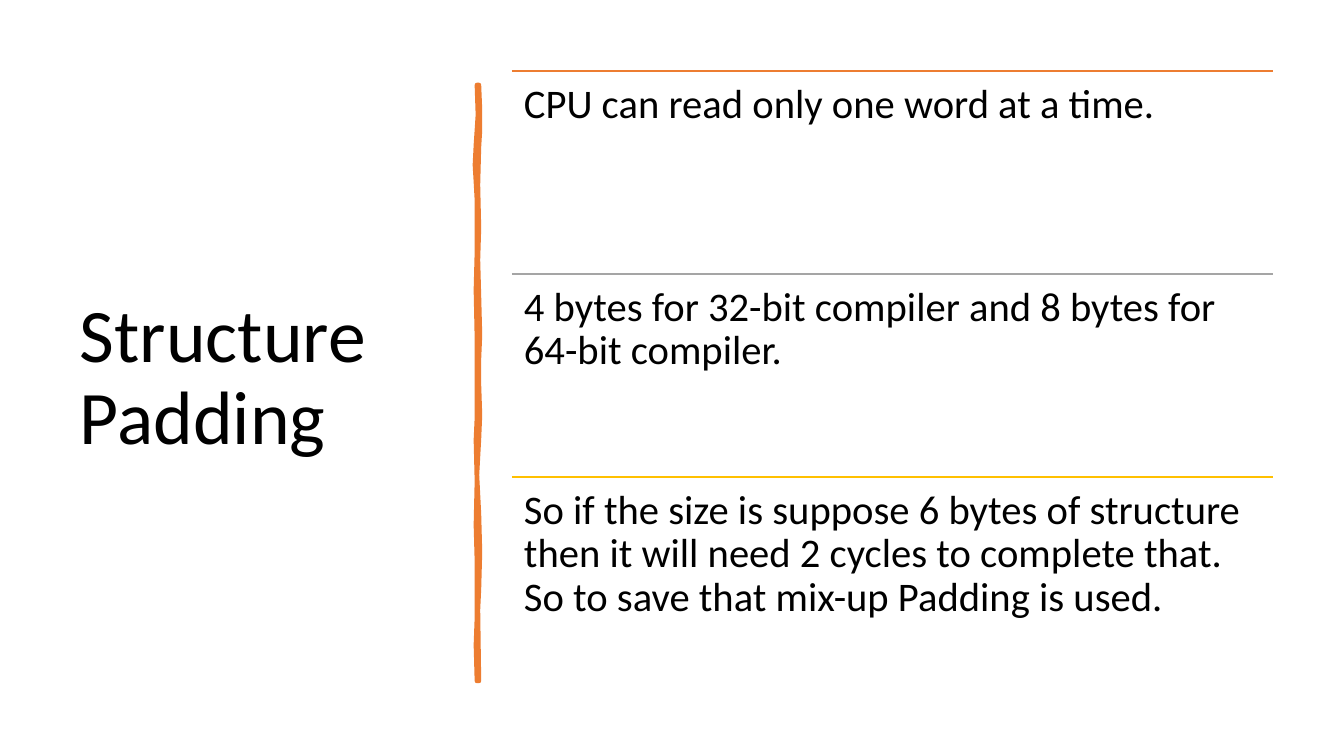
from pptx import Presentation
from pptx.dml.color import RGBColor
from pptx.enum.shapes import MSO_CONNECTOR
from pptx.enum.text import MSO_ANCHOR
from pptx.oxml.ns import qn
from pptx.util import Emu, Pt
from lxml.etree import SubElement

PX = 914400 / 100.8
COLORS = {"ink": "000000", "orange": "ED7D31", "gray": "A5A5A5", "gold": "FFC000"}


def px(n):
    return Emu(round(n * PX))


def add_text(box, words, size, pad, anchor):
    """Add a wrapped text box; box is left, top, width, height in px."""
    frame = slide.shapes.add_textbox(*map(px, box)).text_frame
    frame.word_wrap = True
    frame.vertical_anchor = anchor
    frame.margin_left = frame.margin_right = px(pad[0])
    frame.margin_top = frame.margin_bottom = px(pad[1])
    para = frame.paragraphs[0]
    para.text = words
    para.line_spacing = 0.9
    font = para.runs[0].font
    font.name = "Calibri"
    font.size = Pt(size)
    font.color.rgb = RGBColor.from_string(COLORS["ink"])


prs = Presentation()
prs.slide_width, prs.slide_height = px(1344), px(756)
slide = prs.slides.add_slide(prs.slide_layouts[6])

# Title
add_text((70, 71, 377, 616), "Structure Padding", 54, (10, 5), MSO_ANCHOR.MIDDLE)

# Hand-drawn divider: down the right edge, up the left edge
right = [(479, 85), (480, 110), (480, 130), (479, 147), (478, 185), (479, 228),
         (478, 260), (479, 296), (480, 335), (479, 359), (479, 385), (480, 415),
         (479, 439), (477, 475), (479, 514), (480, 552), (479, 589), (478, 610),
         (479, 681)]
left = [(477, 681), (476, 645), (477, 618), (477, 561), (476, 525), (477, 481),
        (476, 440), (477, 418), (477, 338), (476, 290), (477, 252), (477, 200),
        (476, 182), (475, 165), (476, 145), (478, 115), (477, 85)]
draw = slide.shapes.build_freeform(*right[0], scale=PX)
draw.add_line_segments(right[1:] + left, close=True)
bar = draw.convert_to_shape()
bar.shadow.inherit = False
bar.fill.solid()
bar.fill.fore_color.rgb = RGBColor.from_string(COLORS["orange"])
bar.line.color.rgb = RGBColor.from_string(COLORS["orange"])
bar.line.width = Pt(3.25)

# Ruled points
points = [
    ("orange", "CPU can read only one word at a time."),
    ("gray", "4 bytes for 32-bit compiler and 8 bytes for 64-bit compiler."),
    ("gold", "So if the size is suppose 6 bytes of structure then it will need "
             "2 cycles to complete that. So to save that mix-up Padding is used."),
]
x, y, wide, step = 512, 71, 761, 203
for i, (hue, words) in enumerate(points):
    top = y + i * step
    rule = slide.shapes.add_connector(
        MSO_CONNECTOR.STRAIGHT, px(x), px(top), px(x + wide), px(top))
    rule.line.color.rgb = RGBColor.from_string(COLORS[hue])
    rule.line.width = Pt(1)
    SubElement(rule.line._ln.getparent(), qn("a:effectLst"))
    add_text((x, top, wide, step), words, 29, (12, 12), MSO_ANCHOR.TOP)

prs.save("out.pptx")
